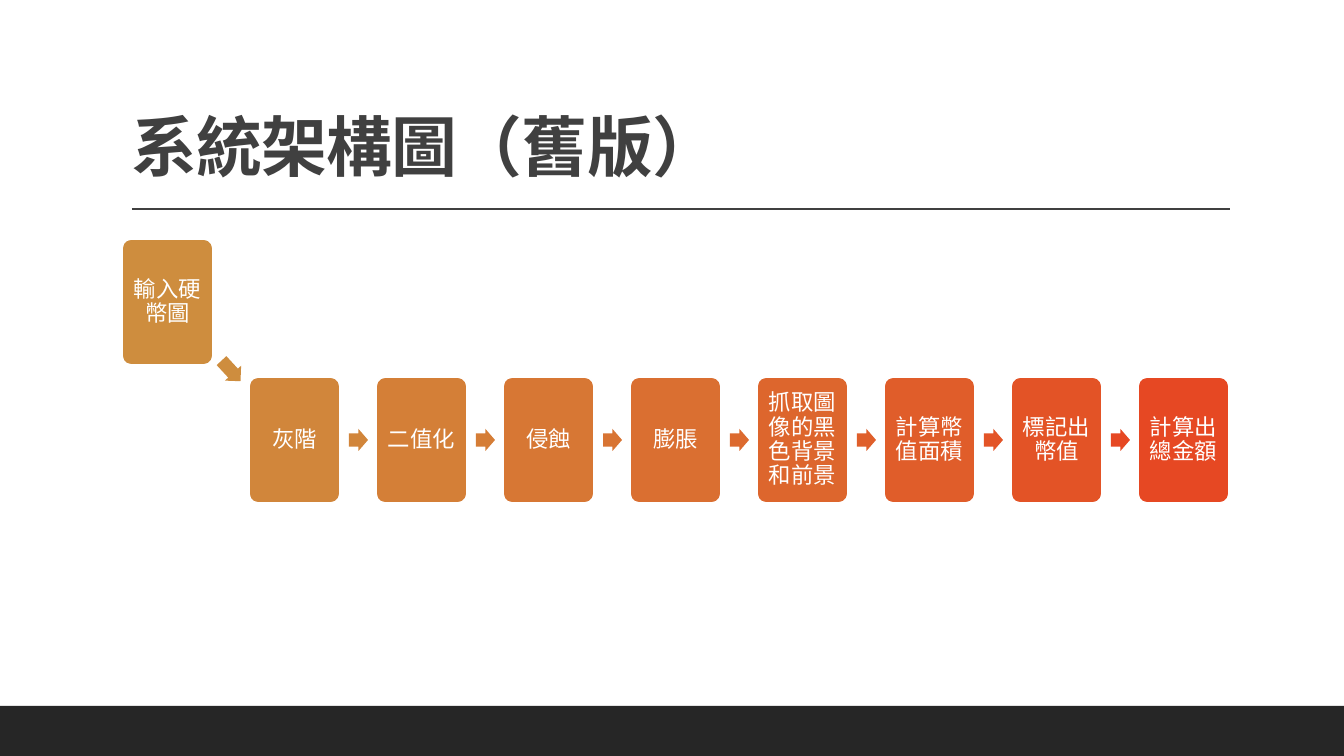
import colorsys

from lxml import etree
from pptx import Presentation
from pptx import util as u
from pptx.dml.color import RGBColor
from pptx.enum import shapes, text
from pptx.oxml.ns import qn

COLORS = {
    "ink": "404040",
    "footer": "262626",
    "white": "FFFFFF",
    "first": "CE8D3E",
    "last": "E64823",
}
CJK_FONT = "Noto Sans CJK TC"
STEPS = [
    "輸入硬幣圖", "灰階", "二值化", "侵蝕", "膨脹",
    "抓取圖像的黑色背景和前景", "計算幣值面積", "標記出幣值", "計算出總金額",
]
LEFT, PITCH = 122, 127
BOX_W, BOX_H = 91, 126
START_TOP, ROW_TOP = 239, 377
ARROW_W, ARROW_H = 19, 22


def px(n):
    return u.Emu(round(n * 914400 / 100.8))


def rgb(name):
    return RGBColor.from_string(COLORS.get(name, name))


def blend(t):
    ends = [colorsys.rgb_to_hls(*(c / 255 for c in rgb(n))) for n in ("first", "last")]
    hls = [a + (b - a) * t for a, b in zip(*ends)]
    return "".join(f"{round(c * 255):02X}" for c in colorsys.hls_to_rgb(*hls))


def write(sp, content, size, color, font, bold=False, spacing=0,
          align=text.PP_ALIGN.CENTER, anchor=text.MSO_ANCHOR.MIDDLE, inset=None):
    tf = sp.text_frame
    tf.word_wrap = True
    tf.auto_size = text.MSO_AUTO_SIZE.NONE
    tf.vertical_anchor = anchor
    if inset is not None:
        tf.margin_left = tf.margin_right = tf.margin_top = tf.margin_bottom = px(inset)
    p = tf.paragraphs[0]
    p.alignment = align
    p.line_spacing = 0.9
    r = p.add_run()
    r.text = content
    r.font.size = u.Pt(size)
    r.font.bold = bold
    r.font.color.rgb = rgb(color)
    r.font.name = font
    rpr = r.font._element
    rpr.find(qn("a:latin")).addnext(etree.Element(qn("a:ea"), typeface=CJK_FONT))
    if spacing:
        rpr.set("spc", str(round(spacing * 100)))


class Deck:
    def __init__(self, width, height):
        self.prs = Presentation()
        self.prs.slide_width, self.prs.slide_height = px(width), px(height)
        self.s = self.prs.slides.add_slide(self.prs.slide_layouts[5])

    def title(self, content, x, y, w, h):
        sp = self.s.shapes.title
        sp.left, sp.top, sp.width, sp.height = map(px, (x, y, w, h))
        write(sp, content, 47, "ink", CJK_FONT, bold=True, spacing=-0.5,
              align=text.PP_ALIGN.LEFT, anchor=text.MSO_ANCHOR.BOTTOM)

    def shape(self, kind, x, y, w, h, fill, adjust=(), rotation=0, line=None):
        sp = self.s.shapes.add_shape(kind, *map(px, (x, y, w, h)))
        sp.shadow.inherit = False
        sp.fill.solid()
        sp.fill.fore_color.rgb = rgb(fill)
        if line:
            sp.line.color.rgb = rgb(line)
            sp.line.width = u.Pt(1.25)
        else:
            sp.line.fill.background()
        for i, value in enumerate(adjust):
            sp.adjustments[i] = value
        sp.rotation = rotation
        return sp

    def rule(self, x1, x2, y):
        line = self.s.shapes.add_connector(
            shapes.MSO_CONNECTOR.STRAIGHT, *map(px, (x1, y, x2, y)))
        line.line.color.rgb = rgb("ink")
        line.line.width = u.Pt(1)
        etree.SubElement(line._element.spPr, qn("a:effectLst"))

    def step(self, content, x, y, fill):
        sp = self.shape(shapes.MSO_SHAPE.ROUNDED_RECTANGLE, x, y, BOX_W, BOX_H,
                        fill, adjust=(0.1,), line="white")
        write(sp, content, 16, "white", "Lato", inset=7)

    def arrow(self, x, y, w, fill, rotation=0):
        self.shape(shapes.MSO_SHAPE.RIGHT_ARROW, x, y, w, ARROW_H, fill,
                   adjust=(0.6, 0.5), rotation=rotation)


def main():
    deck = Deck(1344, 756)
    deck.shape(shapes.MSO_SHAPE.RECTANGLE, 0, 706, 1344, 50, "footer")
    deck.rule(132, 1230, 209)
    deck.title("系統架構圖（舊版）", 121, 31, 1109, 160)
    last = len(STEPS) - 1
    for i, label in enumerate(STEPS):
        x = LEFT + i * PITCH
        deck.step(label, x, ROW_TOP if i else START_TOP, blend(i / last))
        if i == 0:
            deck.arrow(217, 360, 28, blend(0), rotation=47.3)
        elif i < last:
            deck.arrow(x + 100, ROW_TOP + (BOX_H - ARROW_H) // 2, ARROW_W,
                       blend(i / (last - 1)))
    deck.prs.save("out.pptx")


if __name__ == "__main__":
    main()
